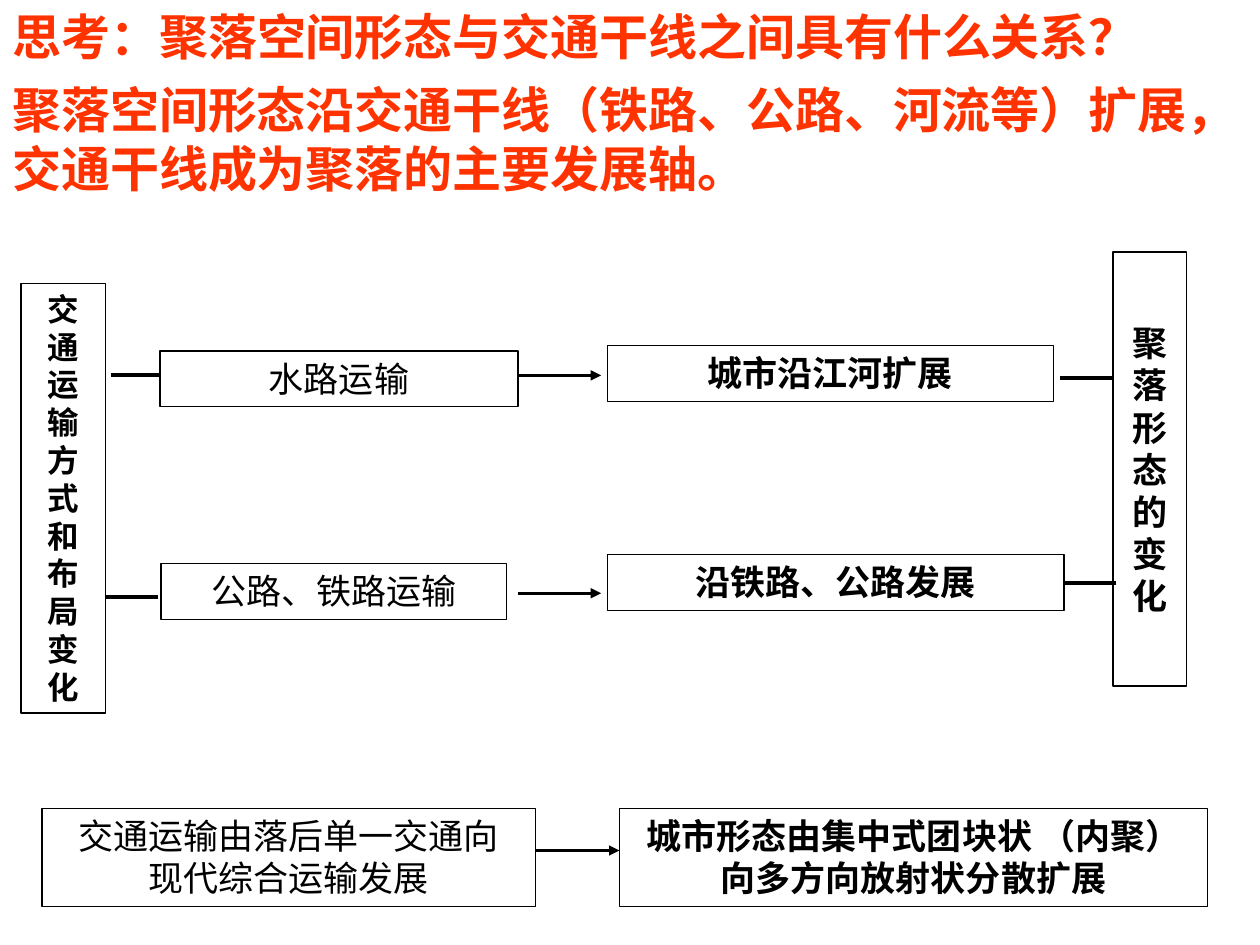
from pptx import Presentation
from pptx.dml.color import RGBColor
from pptx.enum.shapes import MSO_CONNECTOR, MSO_SHAPE
from pptx.enum.text import MSO_ANCHOR, PP_ALIGN
from pptx.oxml.ns import qn
from pptx.util import Pt
from lxml import etree

BLACK = RGBColor(0, 0, 0)
WHITE = RGBColor(255, 255, 255)
RED = RGBColor(255, 51, 0)
KARLA, ARIAL, NOTO = "Karla", "Arial", "Noto Sans CJK SC"

deck = Presentation()
deck.slide_width, deck.slide_height = Pt(720), Pt(540)
slide = deck.slides.add_slide(deck.slide_layouts[6])
shapes = slide.shapes


def write(frame, paras, size, bold, color, align):
    """Fill a frame; each paragraph is a list of (text, font name) runs."""
    frame.word_wrap = True
    for i, runs in enumerate(paras):
        para = frame.paragraphs[0] if i == 0 else frame.add_paragraph()
        para.alignment = align
        for text, face in runs:
            run = para.add_run()
            run.text = text
            look = {"name": face, "size": Pt(size), "bold": bold}
            for key, value in look.items():
                setattr(run.font, key, value)
            run.font.color.rgb = color


# name: left, top, width, height, size, bold, anchor, paragraphs
TOP, MIDDLE = MSO_ANCHOR.TOP, MSO_ANCHOR.MIDDLE
boxes = {
    "cause": (12, 162, 48.5, 245.5, 18, True, TOP,
              [[("交通运输方式和布局变化", KARLA)]]),
    "effect": (636, 144, 42, 248, 20, True, MIDDLE,
               [[("聚落形态的变化", KARLA)]]),
    "water": (91.5, 200.5, 204.5, 32, 20, False, TOP,
              [[("水路运输", KARLA)]]),
    "river": (347, 197.5, 255, 32, 20, True, TOP,
              [[("城市沿江河扩展", KARLA)]]),
    "road": (92, 322, 197.5, 32, 20, False, TOP,
             [[("公路、铁路运输", KARLA)]]),
    "along": (347, 317, 261, 32, 20, True, TOP,
              [[("沿", KARLA), ("铁路、公路", ARIAL), ("发展", KARLA)]]),
    "modern": (24, 462, 282, 56, 20, False, TOP,
               [[("交通运输由落后单一交通向", NOTO)],
                [("现代综合运输发展", NOTO)]]),
    "spread": (354, 462, 336, 56, 20, True, TOP,
               [[("城市形态由集中式团块状 （内聚）向多方向放射状分散扩展", NOTO)]]),
}
made = {}
for name, (x, y, w, h, size, bold, anchor, paras) in boxes.items():
    box = shapes.add_shape(MSO_SHAPE.RECTANGLE, Pt(x), Pt(y), Pt(w), Pt(h))
    box.shadow.inherit = False
    box.fill.background()
    box.line.color.rgb = BLACK
    box.line.width = Pt(0.75)
    box.text_frame.vertical_anchor = anchor
    write(box.text_frame, paras, size, bold, BLACK, PP_ALIGN.CENTER)
    made[name] = box

# start x, end x, y, arrow, box whose right side the line leaves from
lines = [
    (63.5, 91.5, 214.5, False, None),
    (296, 343.5, 214.5, True, None),
    (606, 636, 216, False, None),
    (60, 90, 341, False, None),
    (296, 343.5, 339, True, None),
    (608, 638, 333, False, "along"),
    (306, 354, 486, True, None),
]
for start, end, y, arrow, source in lines:
    line = shapes.add_connector(
        MSO_CONNECTOR.STRAIGHT, Pt(start), Pt(y), Pt(end), Pt(y))
    if source:
        line.begin_connect(made[source], 3)
    line.line.color.rgb = BLACK
    line.line.width = Pt(1.5 if arrow else 2.25)
    if arrow:
        etree.SubElement(line.line._get_or_add_ln(), qn("a:tailEnd"),
                         type="triangle", w="med", len="med")
    etree.SubElement(line._element.spPr, qn("a:effectLst"))

heads = [
    (0, 710, 41, [("思考：聚落空间形态与交通干线之间具有什么关系？", ARIAL)]),
    (42, 726, 74, [("聚落空间形态", ARIAL),
                   ("沿交通干线（铁路、公路、河流等）扩展，交通干线成为聚落的主要发展轴。", NOTO)]),
]
for top, width, height, runs in heads:
    head = shapes.add_textbox(Pt(0), Pt(top), Pt(width), Pt(height))
    write(head.text_frame, [runs], 28, True, RED, PP_ALIGN.LEFT)
shapes[-2].fill.solid()
shapes[-2].fill.fore_color.rgb = WHITE

deck.save("out.pptx")
